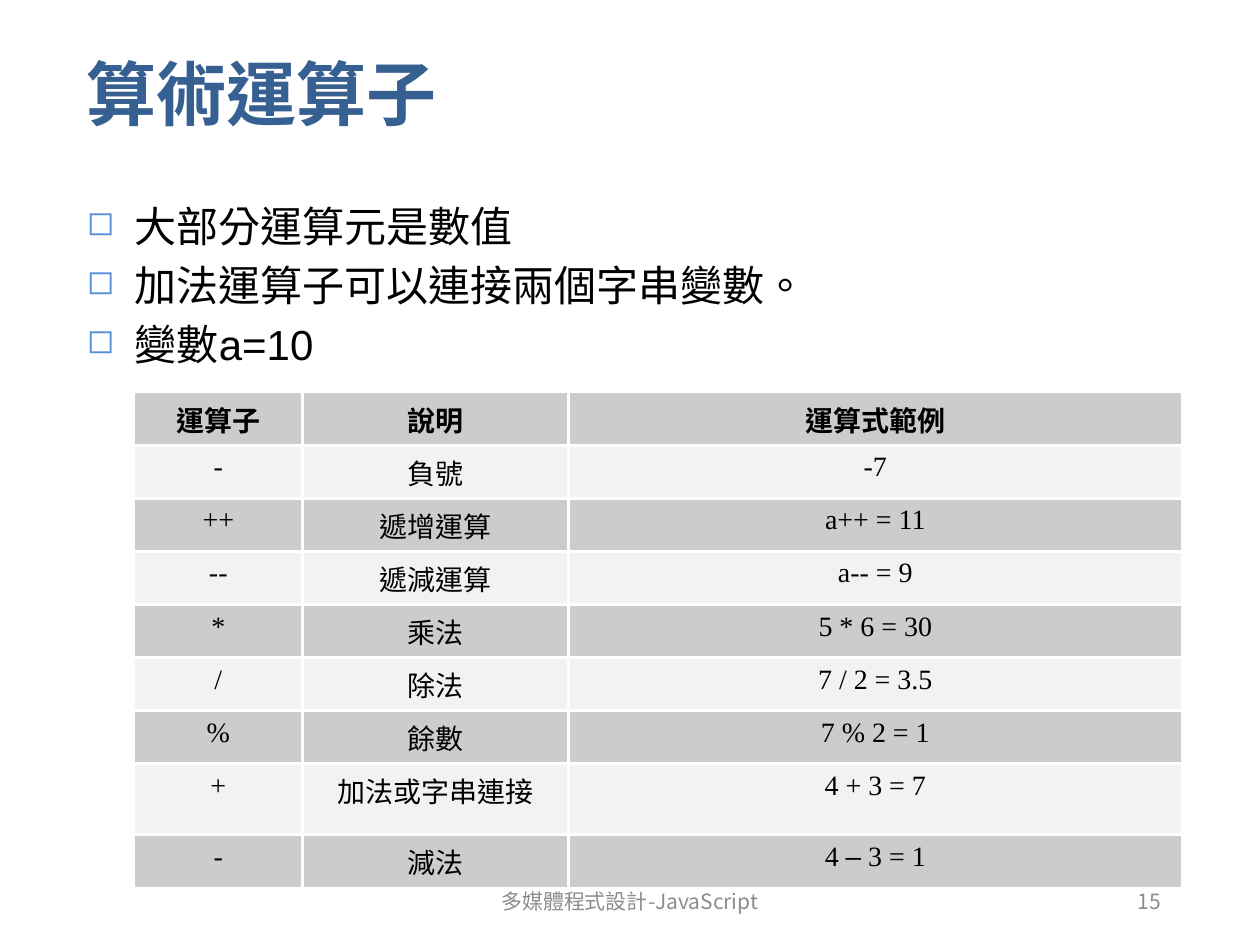
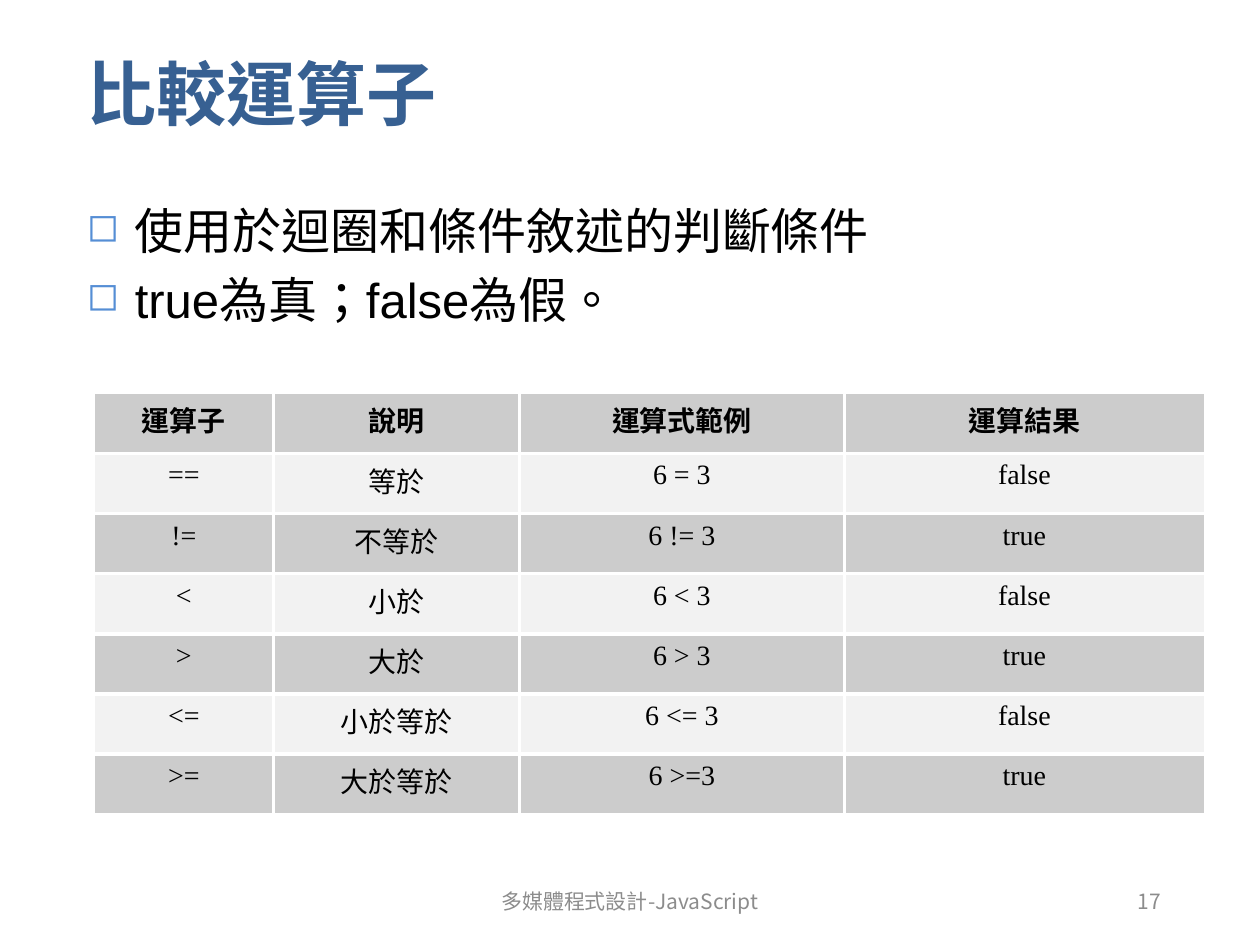
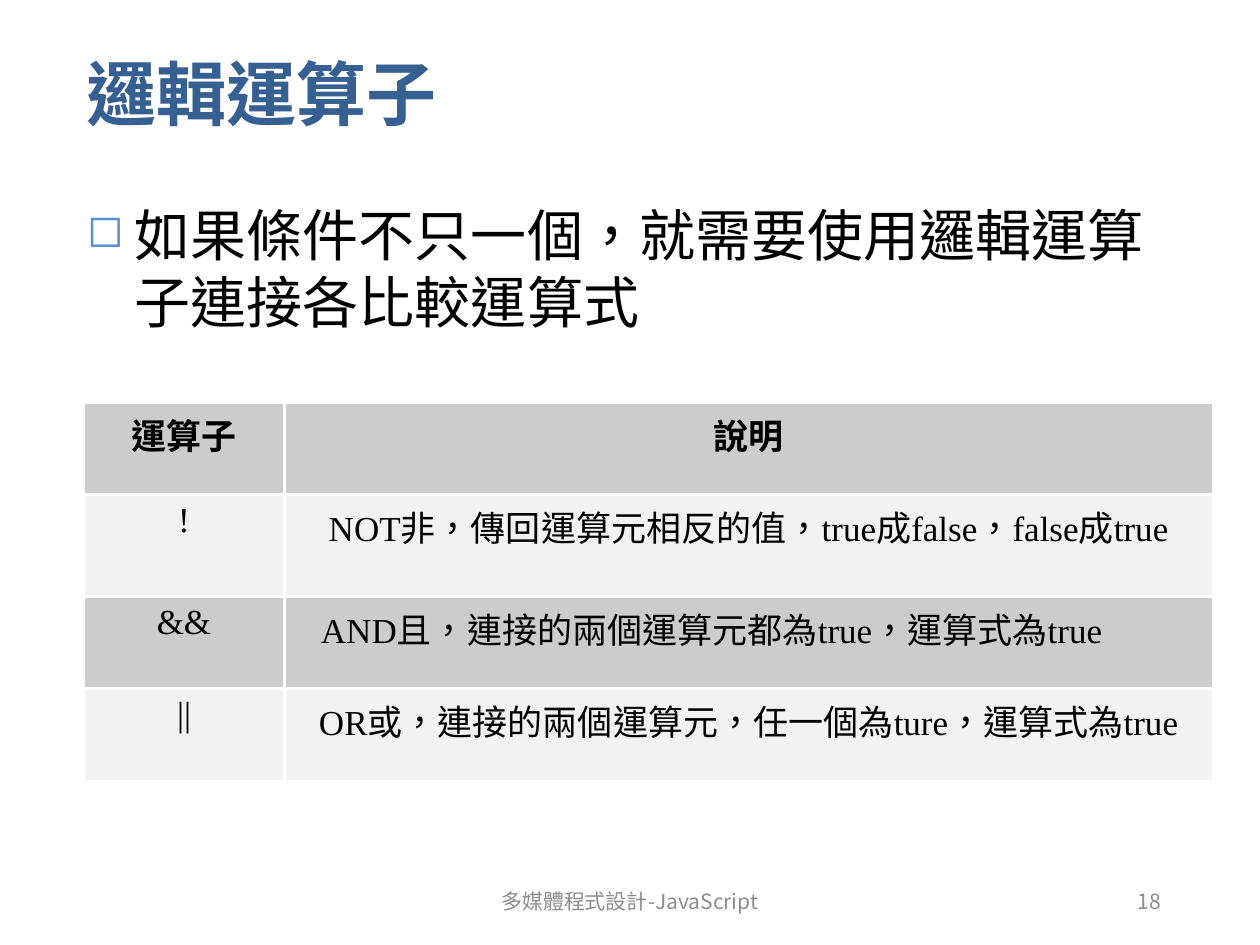
from lxml.etree import SubElement as Sub
from pptx import Presentation
from pptx.dml.color import RGBColor as Rgb
from pptx.enum.lang import MSO_LANGUAGE_ID as Lang
from pptx.enum.text import MSO_ANCHOR as Anchor, PP_ALIGN as Align
from pptx.oxml.ns import qn
from pptx.util import Cm, Pt

INK = {"title": "376092", "text": "000000", "foot": "8C8C8C", "mark": "558ED5",
       "dark": "CCCCCC", "light": "F2F2F2", "rule": "FFFFFF"}
SANS, SERIF, CJK = "Arial", "Times New Roman", "Noto Sans CJK KR"

# Boxes: left, top, width, height in cm
TITLE = (1.5, 0.13, 22.15, 3.48)
BODY = (1.5, 3.92, 22.15, 13.41)
FOOT = (8.4, 17.65, 8.59, 1.02)
PAGE = (17.93, 17.65, 5.72, 1.02)
COURSE = "多媒體程式設計-JavaScript"


def add_run(para, text, size, ink, face, east, bold=False):
    run = para.add_run()
    run.text = text
    font = run.font
    font.size, font.bold, font.name = Pt(size), bold, face
    font.color.rgb = Rgb.from_string(INK[ink])
    font.language_id = Lang.TRADITIONAL_CHINESE
    Sub(run._r.get_or_add_rPr(), qn("a:ea"), typeface=east)


def add_box(slide, box, anchor=Anchor.MIDDLE):
    frame = slide.shapes.add_textbox(*map(Cm, box)).text_frame
    frame.word_wrap = True
    frame.vertical_anchor = anchor
    return frame


def add_title(slide, box, text):
    para = add_box(slide, box).paragraphs[0]
    add_run(para, text, 40, "title", SANS, SANS, True)


def add_list(slide, box, size, items):
    frame = add_box(slide, box, Anchor.TOP)
    for i, item in enumerate(items):
        para = frame.add_paragraph() if i else frame.paragraphs[0]
        para.space_before = Pt(size * 0.2)
        # Hanging square bullet
        props = para._p.get_or_add_pPr()
        props.set("marL", str(Cm(0.97)))
        props.set("indent", str(-Cm(0.97)))
        tint = Sub(props, qn("a:buClr"))
        Sub(tint, qn("a:srgbClr"), val=INK["mark"])
        Sub(props, qn("a:buSzPct"), val="80000")
        Sub(props, qn("a:buChar"), char="◻")
        add_run(para, item, size, "text", SANS, SANS)


def add_foot(slide, box, text, align):
    para = add_box(slide, box).paragraphs[0]
    para.alignment = align
    add_run(para, text, 12, "foot", CJK, CJK)


def add_rule(cell, side):
    line = Sub(cell._tc.get_or_add_tcPr(), qn("a:" + side), w=str(Pt(2)))
    fill = Sub(line, qn("a:solidFill"))
    Sub(fill, qn("a:srgbClr"), val=INK["rule"])


def add_grid(slide, left, top, cols, high, size, rows, tall=None, flush=()):
    """Rows share one height, save those in tall; cells in flush align left."""
    tall = tall or {}
    highs = [tall.get(r, high) for r in range(len(rows))]
    grid = slide.shapes.add_table(len(rows), len(cols), Cm(left), Cm(top),
                                  Cm(sum(cols)), Cm(sum(highs))).table
    grid.first_row = grid.horz_banding = False
    for col, wide in zip(grid.columns, cols):
        col.width = Cm(wide)
    for r, row in enumerate(rows):
        grid.rows[r].height = Cm(highs[r])
        for c, item in enumerate(row):
            cell = grid.cell(r, c)
            # White rules between cells only
            edges = {"lnL": c > 0, "lnR": c < len(cols) - 1,
                     "lnT": r > 0, "lnB": r < len(rows) - 1}
            for side, inner in edges.items():
                if inner:
                    add_rule(cell, side)
            cell.fill.solid()
            cell.fill.fore_color.rgb = Rgb.from_string(
                INK["light" if r % 2 else "dark"])
            para = cell.text_frame.paragraphs[0]
            para.alignment = Align.CENTER
            if (r, c) in flush:
                para.alignment = Align.LEFT
                cell.margin_left = Cm(0.74)
            parts = [(item, SERIF)] if isinstance(item, str) else item
            for text, face in parts:
                add_run(para, text, size, "text", face, CJK, r == 0)


def add_page(deck, title, size, items, page, grid):
    slide = deck.slides.add_slide(deck.slide_layouts[6])
    add_title(slide, TITLE, title)
    add_list(slide, BODY, size, items)
    add_grid(slide, **grid)
    add_foot(slide, FOOT, COURSE, Align.CENTER)
    add_foot(slide, PAGE, str(page), Align.RIGHT)


# Table content
MATH = [
    ("運算子", "說明", "運算式範例"),
    ("-", "負號", "-7"),
    ("++", "遞增運算", "a++ = 11"),
    ("--", "遞減運算", "a-- = 9"),
    ("*", "乘法", "5 * 6 = 30"),
    ("/", "除法", "7 / 2 = 3.5"),
    ("%", "餘數", "7 % 2 = 1"),
    ("+", "加法或字串連接", "4 + 3 = 7"),
    ("-", "減法", [("4 ", SERIF), ("–", SANS), (" 3 = 1", SERIF)]),
]
TESTS = [
    ("運算子", "說明", "運算式範例", "運算結果"),
    ("==", "等於", "6 = 3", "false"),
    ("!=", "不等於", "6 != 3", "true"),
    ("<", "小於", "6 < 3", "false"),
    (">", "大於", "6 > 3", "true"),
    ("<=", "小於等於", "6 <= 3", "false"),
    (">=", "大於等於", "6 >=3", "true"),
]
LOGIC = [
    ("運算子", "說明"),
    ("!", "NOT非，傳回運算元相反的值，true成false，false成true"),
    ("&&", "AND且，連接的兩個運算元都為true，運算式為true"),
    ("||", "OR或，連接的兩個運算元，任一個為ture，運算式為true"),
]


def main():
    deck = Presentation()
    deck.slide_width, deck.slide_height = Cm(25.4), Cm(19.05)
    add_page(deck, "算術運算子", 24,
             ["大部分運算元是數值", "加法運算子可以連接兩個字串變數。", "變數a=10"], 15,
             dict(left=2.7, top=7.91, cols=(3.4, 5.36, 12.37), high=1.07,
                  size=16, rows=MATH, tall={7: 1.43}))
    add_page(deck, "比較運算子", 28,
             ["使用於迴圈和條件敘述的判斷條件", "true為真；false為假。"], 17,
             dict(left=1.9, top=7.92, cols=(3.61, 4.96, 6.55, 7.26), high=1.21,
                  size=16, rows=TESTS, tall={0: 1.22, 1: 1.22}))
    add_page(deck, "邏輯運算子", 32,
             ["如果條件不只一個，就需要使用邏輯運算子連接各比較運算式"], 18,
             dict(left=1.69, top=8.12, cols=(4.04, 18.72), high=1.85,
                  size=20, rows=LOGIC, tall={1: 2.06}, flush={(2, 1)}))
    deck.save("out.pptx")


if __name__ == "__main__":
    main()
